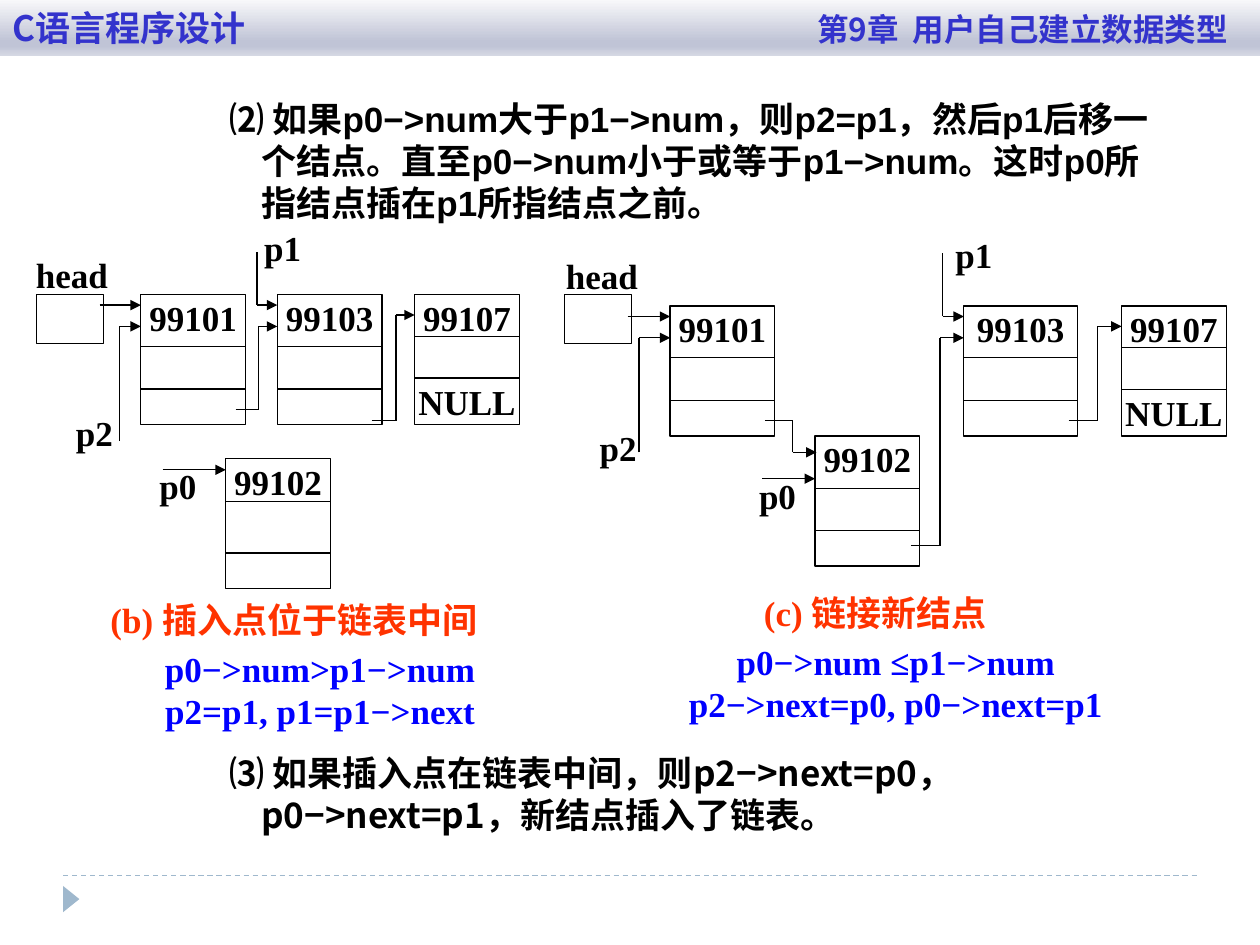
from itertools import pairwise

from lxml import etree
from pptx import Presentation
from pptx import util as u
from pptx.dml.color import RGBColor
from pptx.enum import dml, shapes, text
from pptx.oxml import ns, parse_xml

BLACK = RGBColor(0x00, 0x00, 0x00)
RED = RGBColor(0xFF, 0x33, 0x00)
BLUE = RGBColor(0x00, 0x00, 0xFF)
INDIGO = RGBColor(0x33, 0x33, 0xCC)
STEEL = RGBColor(0x9F, 0xB8, 0xCD)
BAR_STOPS = [(0, "F8F8FA"), (74, "C0C4D6"), (83, "C0C4D6"), (100, "D5D8E3")]

SERIF, SANS, CJK = "Times New Roman", "Arial", "Noto Sans CJK JP"
NODE_WIDTH, NODE_HEIGHT = 2.11, 2.62
LOW_ROWS, HIGH_ROWS = (1.04, 1.9), (0.84, 1.68)

# Nodes: value, left, top, width, divider offsets, last field
NODES = [
    ("99101", 2.84, 5.94, NODE_WIDTH, LOW_ROWS, None),
    ("99103", 5.59, 5.94, NODE_WIDTH, LOW_ROWS, None),
    ("99107", 8.36, 5.94, NODE_WIDTH, HIGH_ROWS, "NULL"),
    ("99102", 4.55, 9.25, NODE_WIDTH, (0.86, 1.9), None),
    ("99101", 13.51, 6.17, NODE_WIDTH, LOW_ROWS, None),
    ("99103", 19.43, 6.17, 2.29, LOW_ROWS, None),
    ("99107", 22.61, 6.17, NODE_WIDTH, HIGH_ROWS, "NULL"),
    ("99102", 16.43, 8.79, NODE_WIDTH, (1.06, 1.9), None),
]

# Pointers: corner points, arrowhead at the last one
POINTERS = [
    [(2.01, 6.15), (2.84, 6.15)],
    [(3.28, 9.47), (4.55, 9.47)],
    [(7.49, 8.48), (7.98, 8.48), (7.98, 6.35), (8.36, 6.35)],
    [(4.75, 8.26), (5.21, 8.26), (5.21, 6.58), (5.59, 6.58)],
    [(5.18, 5.08), (5.18, 6.15), (5.59, 6.15)],
    [(2.41, 8.89), (2.41, 6.58), (2.84, 6.58)],
    [(12.65, 6.38), (13.51, 6.38)],
    [(15.37, 9.65), (16.43, 9.65)],
    [(21.54, 8.48), (22.12, 8.48), (22.12, 6.58), (22.61, 6.58)],
    [(15.42, 8.48), (15.98, 8.48), (15.98, 9.12), (16.46, 9.12)],
    [(18.36, 11), (18.95, 11), (18.95, 6.81), (19.43, 6.81)],
    [(19, 5.11), (19, 6.38), (19.43, 6.38)],
    [(12.88, 9.12), (12.88, 6.81), (13.51, 6.81)],
]

# Labels: lines, left, top, width, height, line spacing, colour
LABELS = [
    (["head"], 0.51, 5.08, 1.88, 0.91, 24, BLACK),
    (["p0"], 3.05, 9.47, 1.07, 0.76, 20, BLACK),
    (["p1"], 5.18, 4.67, 1.04, 0.76, 20, BLACK),
    (["p2"], 1.37, 8.26, 1.07, 0.91, 24, BLACK),
    (["head"], 11.18, 5.11, 1.91, 0.91, 24, BLACK),
    (["p0"], 14.94, 9.53, 1.47, 0.91, 24, BLACK),
    (["p1"], 19.1, 4.67, 1.07, 0.91, 24, BLACK),
    (["p2"], 11.81, 8.71, 1.3, 0.76, 20, BLACK),
    (["(b) 插入点位于链表中间"], 1.88, 12.04, 8.1, 0.91, 24, RED),
    (["p0−>num>p1−>num", "p2=p1, p1=p1−>next"],
     2.95, 13.03, 7.01, 1.76, 24, BLUE),
    (["(c) 链接新结点"], 14.82, 11.89, 5.66, 0.91, 24, RED),
    (["p0−>num ≤p1−>num", "p2−>next=p0, p0−>next=p1"],
     13.03, 12.88, 10.06, 1.76, 24, BLUE),
]

RULES = [
    ("⑵ 如果p0−>num大于p1−>num，则p2=p1，然后p1后移一个结点。直至p0−>num小于或等于"
     "p1−>num。这时p0所指结点插在p1所指结点之前。", 1.83, 2.84, SANS),
    ("⑶ 如果插入点在链表中间，则p2−>next=p0，p0−>next=p1，新结点插入了链表。",
     15.03, 2.11, CJK),
]


def assign(target, **values):
    for name, value in values.items():
        setattr(target, name, value)


def place(shape, left, top, width, height):
    assign(shape, left=u.Cm(left), top=u.Cm(top),
           width=u.Cm(width), height=u.Cm(height))


def add_span(para, words, font, color, size=20):
    span = para.add_run()
    span.text = words
    assign(span.font, name=font, size=u.Pt(size), bold=True)
    span.font.color.rgb = color
    east = etree.SubElement(span.font._element, ns.qn("a:ea"))
    east.set("typeface", CJK)


def write_centred(shape, lines, color=BLACK, spacing=24, gap=0):
    frame = shape.text_frame
    assign(frame, word_wrap=False, vertical_anchor=text.MSO_ANCHOR.TOP,
           margin_left=u.Cm(0.05), margin_right=u.Cm(0.05),
           margin_top=u.Cm(0.03), margin_bottom=u.Cm(0.03))
    for index, words in enumerate(lines):
        para = frame.add_paragraph() if index else frame.paragraphs[0]
        assign(para, alignment=text.PP_ALIGN.CENTER, line_spacing=u.Pt(spacing))
        if index and gap:
            para.space_before = u.Pt(gap)
        add_span(para, words, SERIF, color)


def add_line(page, start, end, color=BLACK, arrow=False):
    points = [u.Cm(value) for value in (*start, *end)]
    line = page.shapes.add_connector(shapes.MSO_CONNECTOR.STRAIGHT, *points)
    line.line.color.rgb = color
    line.line.width = u.Pt(0.75)
    if arrow:
        head = etree.SubElement(line.line._get_or_add_ln(), ns.qn("a:tailEnd"))
        head.set("type", "triangle")
    etree.SubElement(line._element.spPr, ns.qn("a:effectLst"))
    return line


def add_frame(page, left, top, width, height):
    frame = page.shapes.add_shape(
        shapes.MSO_SHAPE.RECTANGLE, *map(u.Cm, (left, top, width, height)))
    frame.shadow.inherit = False
    frame.fill.background()
    frame.line.color.rgb = BLACK
    frame.line.width = u.Pt(0.75)
    return frame


def add_node(page, value, left, top, width, rows, last):
    node = add_frame(page, left, top, width, NODE_HEIGHT)
    write_centred(node, [value, last] if last else [value], gap=24)
    for row in rows:
        add_line(page, (left, top + row), (left + width, top + row))


def add_pointer(page, points):
    segments = list(pairwise(points))
    for index, (start, end) in enumerate(segments, 1):
        add_line(page, start, end, arrow=index == len(segments))


def fill_header(title):
    place(title, 0, 0, 25.4, 1.12)
    stops = "".join(f'<a:gs pos="{pos * 1000}"><a:srgbClr val="{color}"/></a:gs>'
                    for pos, color in BAR_STOPS)
    title._element.spPr.append(parse_xml(
        f'<a:gradFill {ns.nsdecls("a")}><a:gsLst>{stops}</a:gsLst>'
        '<a:lin ang="5400000" scaled="0"/></a:gradFill>'))
    assign(title.text_frame, auto_size=text.MSO_AUTO_SIZE.NONE,
           vertical_anchor=text.MSO_ANCHOR.MIDDLE)
    para = title.text_frame.paragraphs[0]
    para.alignment = text.PP_ALIGN.LEFT
    tabs = etree.SubElement(para._p.get_or_add_pPr(), ns.qn("a:tabLst"))
    etree.SubElement(tabs, ns.qn("a:tab"), pos=str(u.Cm(24.5)), algn="r")
    add_span(para, "C语言程序设计\t", CJK, INDIGO)
    add_span(para, "第9章  用户自己建立数据类型", CJK, INDIGO, 18)


def fill_rule(body, words, top, height, font):
    place(body, 1.83, top, 22.1, height)
    body.text_frame.auto_size = text.MSO_AUTO_SIZE.NONE
    para = body.text_frame.paragraphs[0]
    assign(para, level=2, space_before=u.Pt(0), line_spacing=u.Pt(24))
    props = para._p.get_or_add_pPr()
    props.set("marL", str(u.Cm(3.18)))
    props.set("indent", str(u.Cm(-0.64)))
    etree.SubElement(props, ns.qn("a:buNone"))
    add_span(para, words, font, BLACK)


def add_footer(page):
    rule = add_line(page, (1.27, 17.65), (24.13, 17.65), STEEL)
    rule.line.dash_style = dml.MSO_LINE.DASH
    marker = page.shapes.add_shape(
        shapes.MSO_SHAPE.ISOSCELES_TRIANGLE,
        *map(u.Cm, (1.17, 17.96, 0.53, 0.33)))
    marker.rotation = 90
    marker.shadow.inherit = False
    marker.fill.solid()
    marker.fill.fore_color.rgb = STEEL
    marker.line.fill.background()


def main():
    deck = Presentation()
    assign(deck, slide_width=u.Cm(25.4), slide_height=u.Cm(19.05))
    page = deck.slides.add_slide(deck.slide_layouts[3])

    # Header bar and the two rules
    fill_header(page.shapes.title)
    for index, rule in enumerate(RULES, 1):
        fill_rule(page.placeholders[index], *rule)

    # Linked list diagrams
    for left in (0.74, 11.38):
        add_frame(page, left, 5.94, 1.35, 0.99)
    for node in NODES:
        add_node(page, *node)
    for points in POINTERS:
        add_pointer(page, points)
    for lines, left, top, width, height, spacing, color in LABELS:
        box = page.shapes.add_textbox(*map(u.Cm, (left, top, width, height)))
        write_centred(box, lines, color, spacing)

    add_footer(page)
    deck.save("out.pptx")


if __name__ == "__main__":
    main()
